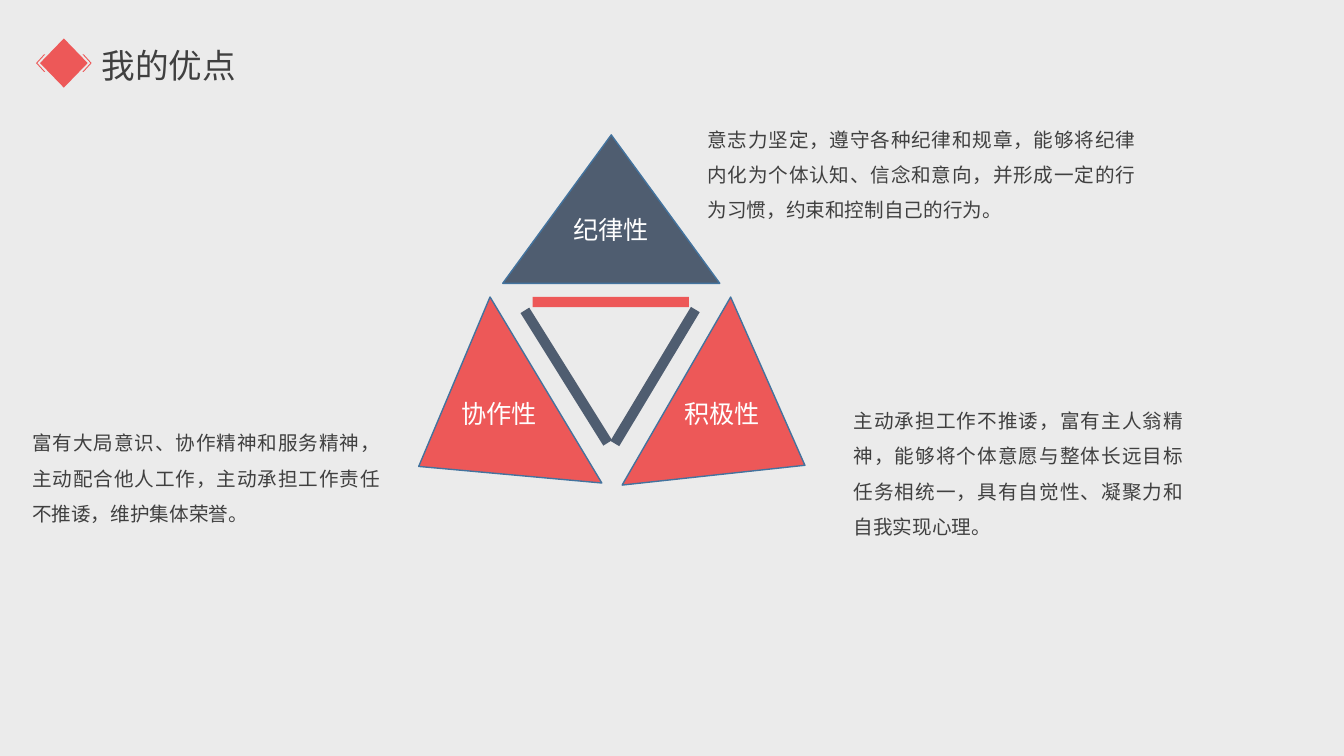
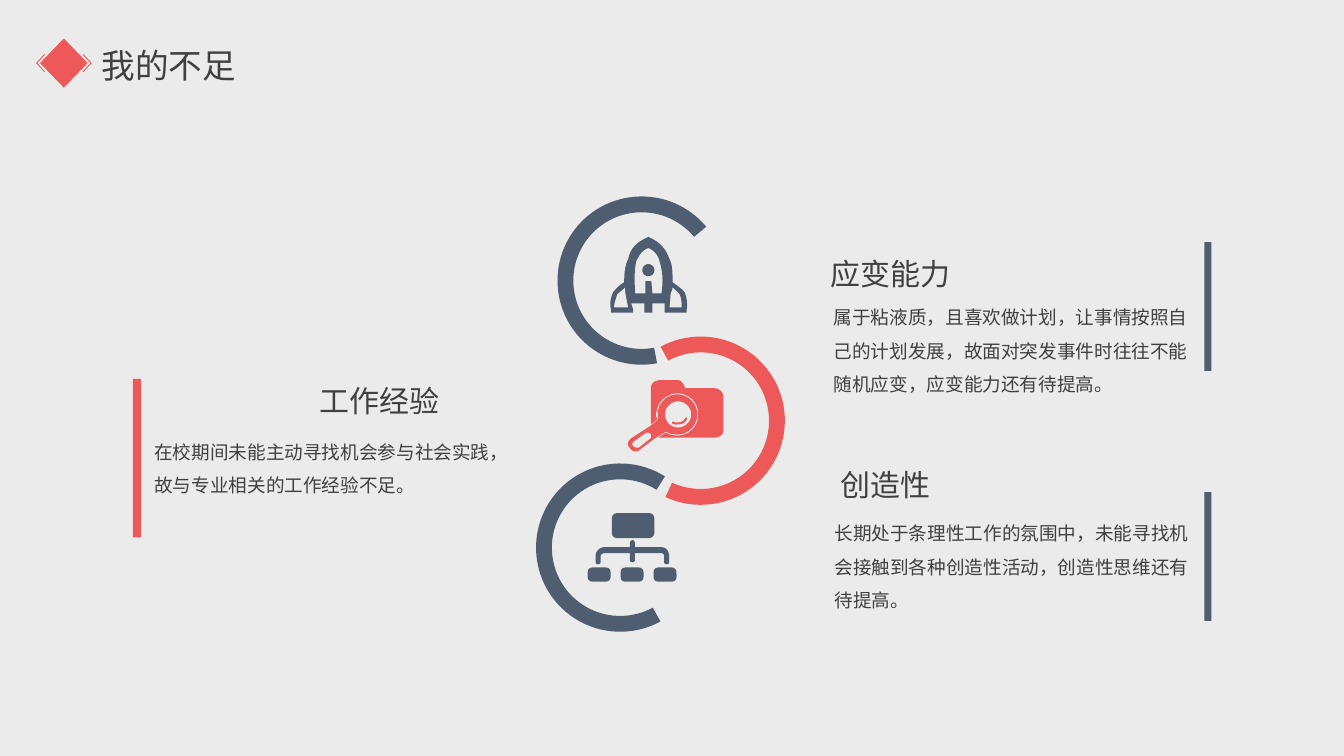
from dataclasses import dataclass
from math import cos, pi, sin

from lxml import etree
from pptx import Presentation
from pptx import util as u
from pptx.dml.color import RGBColor
from pptx.enum import lang, shapes, text
from pptx.oxml.ns import qn

FONT = "Noto Sans CJK SC"
RED, SLATE, EDGE = "ED5858", "4F5D70", "43739E"
INK, WHITE, PAPER = "404040", "FFFFFF", "EBEBEB"
GRID = 2.54 / 100
Point = tuple[float, ...]
Contour = list[Point]


@dataclass(frozen=True)
class Trait:
    name: str
    color: str
    triangle: tuple[float, float]
    angle: float
    label: tuple[float, float]
    detail: str
    detail_box: tuple[float, float, float, float]


@dataclass(frozen=True)
class Strut:
    center: tuple[float, float]
    angle: float
    color: str


@dataclass(frozen=True)
class Weakness:
    name: str
    heading: tuple[float, float]
    detail: str
    body: tuple[float, float]
    color: str
    bar: tuple[float, float, float, float]
    arc: tuple[float, float]
    angle: float
    sweep: float = 73.574
    flipped: bool = False


TRAITS = [
    Trait("纪律性", SLATE, (12.67, 3.4), 0, (14.2, 4.9),
          "意志力坚定，遵守各种纪律和规章，能够将纪律内化为个体认知、信念和意向，"
          "并形成一定的行为习惯，约束和控制自己的行为。", (17.58, 2.79, 11.28, 2.95)),
    Trait("积极性", RED, (15.93, 8.92), 120, (16.99, 9.53),
          "主动承担工作不推诿，富有主人翁精神，能够将个体意愿与整体长远目标任务相统一，"
          "具有自觉性、凝聚力和自我实现心理。", (21.26, 9.88, 8.81, 3.84)),
    Trait("协作性", RED, (9.42, 8.92), 239, (11.38, 9.53),
          "富有大局意识、协作精神和服务精神，主动配合他人工作，"
          "主动承担工作责任不推诿，维护集体荣誉。", (0.56, 10.44, 9.27, 2.95)),
]

STRUTS = [
    Strut((15.39, 7.61), 90, RED),
    Strut((16.51, 9.49), 31, SLATE),
    Strut((14.27, 9.49), 148, SLATE),
]

WEAKNESSES = [
    Weakness("应变能力", (20.68, 6.32),
             "属于粘液质，且喜欢做计划，让事情按照自己的计划发展，"
             "故面对突发事件时往往不能随机应变，应变能力还有待提高。",
             (20.68, 7.26), SLATE, (30.35, 6.1, 0.18, 3.25), (14.05, 4.95), 316.8),
    Weakness("工作经验", (7.8, 9.5),
             "在校期间未能主动寻找机会参与社会实践，故与专业相关的工作经验不足。",
             (3.56, 10.64), RED, (3.35, 9.55, 0.2, 3.99), (15.54, 8.48), 64.9, 78.056, True),
    Weakness("创造性", (20.93, 11.63),
             "长期处于条理性工作的氛围中，未能寻找机会接触到各种创造性活动，"
             "创造性思维还有待提高。",
             (20.7, 12.7), SLATE, (30.35, 12.4, 0.18, 3.25), (13.51, 11.68), 298.8),
]


def circle(x: float, y: float, radius: float, steps: int = 36) -> Contour:
    return [(x + radius * cos(2 * pi * i / steps), y + radius * sin(2 * pi * i / steps))
            for i in range(steps)]


BADGE: list[Contour] = [
    [(0, -0.62), (0.6, 0), (0, 0.62), (-0.6, 0)],
    *[[(side * x, y) for x, y in ((0.47, -0.22), (0.5, -0.22), (0.7, 0),
                                  (0.5, 0.22), (0.47, 0.22), (0.67, 0))]
      for side in (-1, 1)],
]

ROCKET: list[Contour] = [
    [(43, 66), (43, 75), (35, 75), (35, 66), (22, 66), (24, 72), (24, 75), (2, 75), (2, 72),
     (0, 66, 2, 60, 4, 55), (7, 51, 10, 48, 15, 45), (15, 35, 16, 28, 19, 22),
     (21, 11, 28, 5, 37, 1), (39, 0), (41, 1), (50, 5, 56, 11, 60, 22),
     (63, 28, 63, 35, 63, 45), (67, 48, 72, 51, 75, 55), (77, 60, 78, 66, 77, 72),
     (77, 75), (55, 75), (55, 66)],
    [(39, 11), (33, 13, 30, 18, 27, 24), (25, 33, 25, 43, 26, 56), (36, 56), (36, 44),
     (42, 44), (43, 56), (52, 56), (54, 43, 53, 33, 50, 24), (49, 18, 44, 13, 39, 11)],
    [(61, 57), (60, 70), (72, 70), (72, 65, 72, 61, 70, 57), (69, 55, 66, 53, 63, 50),
     (63, 53, 61, 55, 61, 57)],
    [(19, 70), (17, 60), (16, 56, 16, 53, 16, 50), (13, 53, 10, 55, 8, 57),
     (7, 61, 5, 65, 5, 70)],
    circle(39, 33, 6),
]

FOLDER_SEARCH: list[Contour] = [
    [(86, 8), (57, 8), (56, 4, 53, 0, 50, 0), (32, 0), (28, 0, 25, 2, 24, 4),
     (23, 6, 23, 7, 23, 9), (23, 44), (29, 39), (29, 37, 28, 36, 28, 34),
     (28, 32, 29, 31, 29, 29), (31, 20, 40, 13, 49, 13), (61, 13, 70, 22, 70, 34),
     (70, 46, 61, 55, 49, 55), (45, 55, 41, 54, 38, 52), (30, 57), (86, 57),
     (91, 57, 95, 54, 95, 50), (95, 17), (95, 12, 91, 8, 86, 8)],
    [(69, 34), (69, 23, 60, 14, 49, 14), (40, 14, 32, 21, 30, 30), (30, 32, 30, 37, 30, 39),
     (23, 45), (3, 58), (0, 61, -1, 64, 2, 67), (4, 71, 9, 72, 12, 69), (28, 57), (38, 51),
     (41, 53, 45, 54, 49, 54), (60, 54, 69, 45, 69, 34)],
    [(21, 59), (11, 67), (10, 67, 6, 67, 5, 65), (4, 63, 5, 61, 7, 60), (17, 53),
     (19, 51, 22, 52, 23, 54), (24, 56, 23, 58, 21, 59)],
    circle(50, 34, 13),
    [(58, 37), (57, 37, 57, 37, 57, 38), (56, 40, 53, 42, 49, 42), (48, 42, 47, 42, 45, 41),
     (44, 41, 44, 43, 44, 43), (46, 44, 47, 44, 49, 44), (54, 44, 58, 42, 59, 38),
     (59, 38, 59, 37, 58, 37)],
]

BRANCHES: list[Contour] = [
    [(65, 7), (39, 7), (39, 3), (39, 2, 38, 0, 37, 0), (35, 0, 34, 2, 34, 3), (34, 7), (9, 7),
     (4, 7, 0, 11, 0, 16), (0, 22), (0, 23, 1, 24, 2, 24), (4, 24, 5, 23, 5, 22), (5, 16),
     (5, 14, 7, 13, 9, 13), (34, 13), (34, 20), (34, 21, 35, 22, 37, 22),
     (38, 22, 39, 21, 39, 20), (39, 13), (65, 13), (67, 13, 68, 14, 68, 16), (68, 22),
     (68, 23, 69, 24, 71, 24), (72, 24, 73, 23, 73, 22), (73, 16), (73, 11, 70, 7, 65, 7)],
]


def rgb(color: str) -> RGBColor:
    return RGBColor.from_string(color)


def paint(shape, color: str, edge: str | None = None):
    shape.shadow.inherit = False
    shape.fill.solid()
    shape.fill.fore_color.rgb = rgb(color)
    if edge:
        shape.line.color.rgb = rgb(edge)
        shape.line.width = u.Pt(1)
    else:
        shape.line.fill.background()
    return shape


def add_block(page, kind, left: float, top: float, width: float, height: float,
              color: str, edge: str | None = None, angle: float = 0):
    shape = page.shapes.add_shape(kind, u.Cm(left), u.Cm(top), u.Cm(width), u.Cm(height))
    shape.rotation = angle
    return paint(shape, color, edge)


def add_text(page, words: str, left: float, top: float, width: float, height: float, *,
             size: float, color: str = INK, spacing: float = 1, justify: bool = False,
             insets: tuple[float, float] = (0.25, 0.13)) -> None:
    box = page.shapes.add_textbox(u.Cm(left), u.Cm(top), u.Cm(width), u.Cm(height))
    frame = box.text_frame
    frame.word_wrap = True
    frame.margin_left = frame.margin_right = u.Cm(insets[0])
    frame.margin_top = frame.margin_bottom = u.Cm(insets[1])
    para = frame.paragraphs[0]
    para.line_spacing = spacing
    para.alignment = text.PP_ALIGN.JUSTIFY if justify else text.PP_ALIGN.LEFT
    span = para.add_run()
    span.text = words
    span.font.size = u.Pt(size)
    span.font.color.rgb = rgb(color)
    span.font.name = FONT
    span.font.language_id = lang.MSO_LANGUAGE_ID.SIMPLIFIED_CHINESE
    etree.SubElement(span.font._element, qn("a:ea"), typeface=FONT)


def flatten(contour: Contour, steps: int = 8) -> Contour:
    points = [contour[0]]
    for step in contour[1:]:
        if len(step) == 2:
            points.append(step)
            continue
        x0, y0 = points[-1]
        x1, y1, x2, y2, x3, y3 = step
        for i in range(1, steps + 1):
            t = i / steps
            a, b, c, d = (1 - t) ** 3, 3 * t * (1 - t) ** 2, 3 * t * t * (1 - t), t ** 3
            points.append((a * x0 + b * x1 + c * x2 + d * x3,
                           a * y0 + b * y1 + c * y2 + d * y3))
    return points


def add_outline(page, contours: list[Contour], left: float, top: float, color: str,
                unit: float = GRID) -> None:
    builder = None
    for contour in contours:
        points = [(u.Cm(left + x * unit), u.Cm(top + y * unit)) for x, y in flatten(contour)]
        if builder is None:
            builder = page.shapes.build_freeform(*points[0], scale=1.0)
        else:
            builder.move_to(*points[0])
        builder.add_line_segments(points[1:], close=True)
    paint(builder.convert_to_shape(), color)


def add_page(deck, title: str):
    page = deck.slides.add_slide(deck.slide_layouts[6])
    add_outline(page, BADGE, 1.61, 1.59, RED, unit=1)
    add_text(page, title, 2.31, 0.99, 5, 1.27, size=24)
    return page


def add_strengths(deck) -> None:
    page = add_page(deck, "我的优点")
    width, length = 0.26, 3.94
    for strut in STRUTS:
        x, y = strut.center
        add_block(page, shapes.MSO_SHAPE.RECTANGLE, x - width / 2, y - length / 2,
                  width, length, strut.color, angle=strut.angle)
    for trait in TRAITS:
        add_block(page, shapes.MSO_SHAPE.ISOSCELES_TRIANGLE, *trait.triangle, 5.47, 3.74,
                  trait.color, EDGE, trait.angle)
        add_text(page, trait.name, *trait.label, 2.82, 1.4, size=18, color=WHITE,
                 spacing=1.5, justify=True)
        add_text(page, trait.detail, *trait.detail_box, size=14, spacing=1.5, justify=True)


def add_org_chart(page) -> None:
    boxes = [(15.42, 12.93, 1.07, 0.63, 0.2)]
    boxes += [(14.81 + 0.83 * i, 14.3, 0.58, 0.36, 0.32) for i in range(3)]
    for left, top, width, height, rounding in boxes:
        box = add_block(page, shapes.MSO_SHAPE.ROUNDED_RECTANGLE, left, top, width, height, SLATE)
        box.adjustments[0] = rounding
    add_outline(page, BRANCHES, 15.01, 13.61, SLATE)


def add_weaknesses(deck) -> None:
    page = add_page(deck, "我的不足")
    for item in WEAKNESSES:
        add_block(page, shapes.MSO_SHAPE.RECTANGLE, *item.bar, item.color)
        arc = add_block(page, shapes.MSO_SHAPE.BLOCK_ARC, *item.arc, 4.24, 4.24,
                        item.color, angle=item.angle)
        for i, value in enumerate((item.sweep, 2.023, 0.094)):
            arc.adjustments[i] = value
        if item.flipped:
            arc._element.spPr.find(qn("a:xfrm")).set("flipH", "1")
        add_text(page, item.name, *item.heading, 4.98, 1.17, size=21.4)
        add_text(page, item.detail, *item.body, 9.7, 2.67, size=13.3, spacing=1.5,
                 insets=(0.33, 0.18))
    add_outline(page, ROCKET, 15.35, 5.97, SLATE)
    add_outline(page, FOLDER_SEARCH, 15.82, 9.58, RED)
    add_org_chart(page)


def main() -> None:
    deck = Presentation()
    deck.slide_width, deck.slide_height = u.Cm(33.87), u.Cm(19.05)
    paper = deck.slide_master.background.fill
    paper.solid()
    paper.fore_color.rgb = rgb(PAPER)
    add_strengths(deck)
    add_weaknesses(deck)
    deck.save("out.pptx")


if __name__ == "__main__":
    main()
